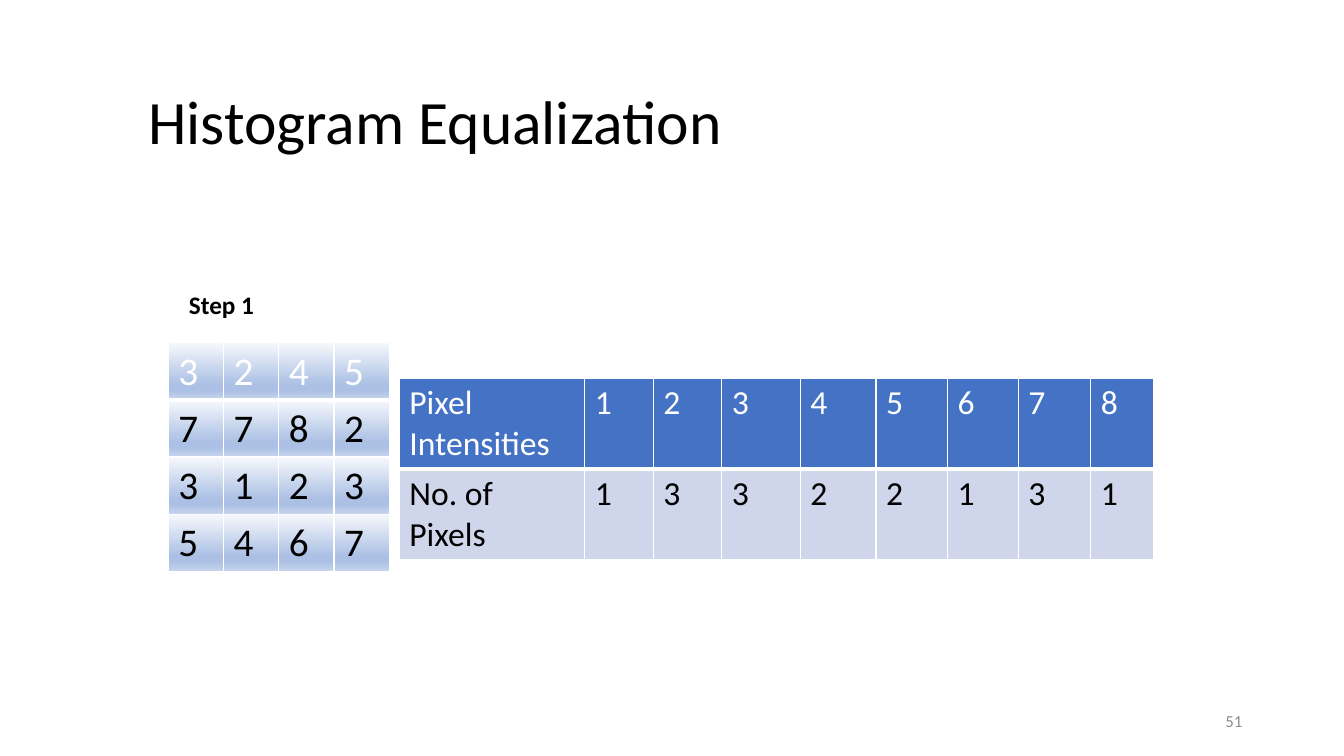
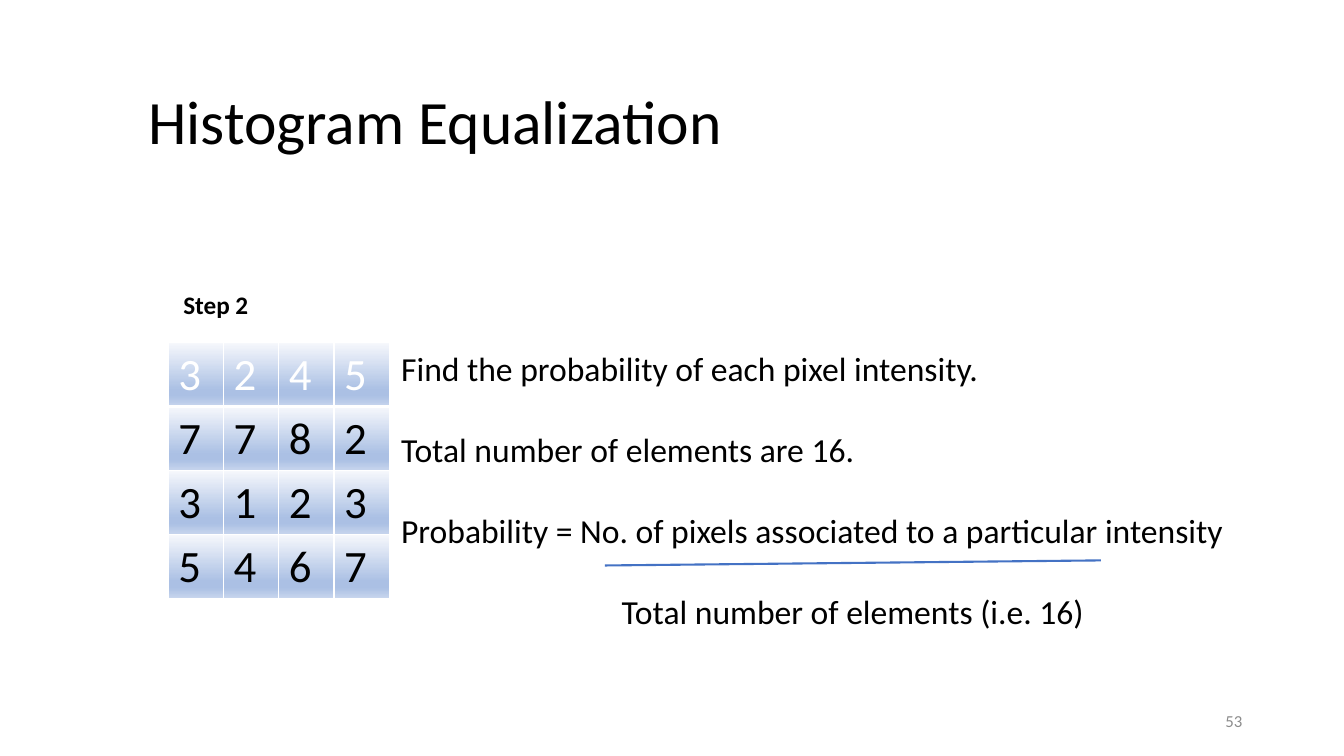
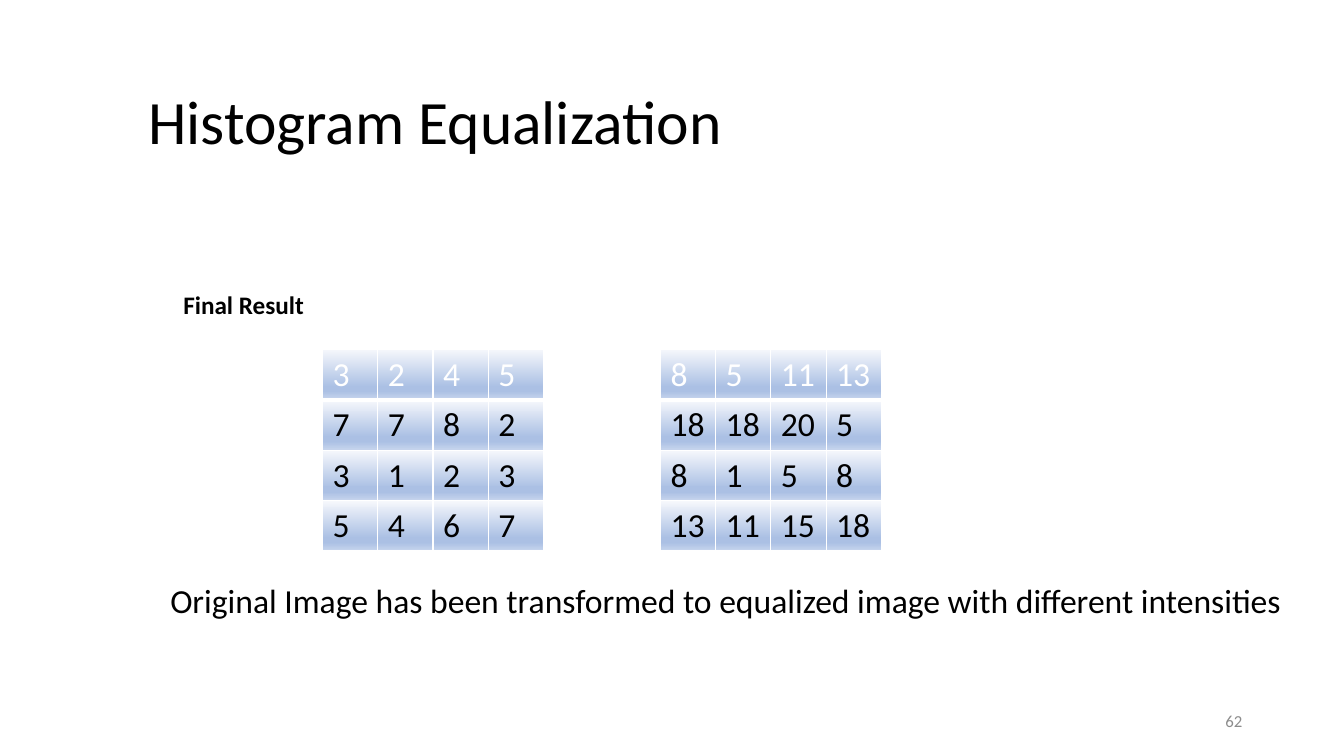
from dataclasses import dataclass

from lxml import etree
from pptx import Presentation
from pptx.dml.color import RGBColor
from pptx.enum.shapes import MSO_CONNECTOR as Connector
from pptx.enum.text import MSO_ANCHOR as Anchor, MSO_AUTO_SIZE as AutoSize, PP_ALIGN as Align
from pptx.oxml import parse_xml
from pptx.oxml.ns import nsdecls, qn
from pptx.util import Inches, Pt


@dataclass(frozen=True)
class Theme:
    font: str = "Calibri"
    ink: str = "000000"
    paper: str = "FFFFFF"
    accent: str = "4472C4"
    band: str = "CFD5EA"
    muted: str = "8C8C8C"
    gradient: tuple = ((0, "F6F8FC"), (74, "ABC0E4"), (83, "ABC0E4"), (100, "C7D5ED"))
    title_size: int = 44
    body_size: int = 24
    label_size: int = 18
    number_size: int = 12
    line_height: float = 1.2


THEME = Theme()
WIDTH, HEIGHT = Inches(13.33), Inches(7.5)
TITLE_AREA = (10.28, 5.6, 83.5, 21.73)
NUMBER_AREA = (70.67, 92.67, 22.5, 5.33)
LABEL_TOP, MATRIX_LEFT, MATRIX_TOP = 37.6, 12.53, 45.33
MATRIX_COLUMN = 4.11

IMAGE = [[3, 2, 4, 5], [7, 7, 8, 2], [3, 1, 2, 3], [5, 4, 6, 7]]
EQUALIZED = [[8, 5, 11, 13], [18, 18, 20, 5], [8, 1, 5, 8], [13, 11, 15, 18]]
HISTOGRAM = [
    ["Pixel Intensities", 1, 2, 3, 4, 5, 6, 7, 8],
    ["No. of Pixels", 1, 3, 3, 2, 2, 1, 3, 1],
]
HISTOGRAM_COLUMNS = [13.8, 5.1, 5.1, 5.85, 5.63, 5.33, 5.25, 5.4, 4.65]


# Lengths in percent of the slide
def across(share):
    return int(WIDTH * share / 100)


def down(share):
    return int(HEIGHT * share / 100)


def area(left, top, width, height):
    return across(left), down(top), across(width), down(height)


# Text
def apply(target, values):
    for name, value in values.items():
        setattr(target, name, value)


def style(paragraph, size, color=THEME.ink, bold=False):
    apply(paragraph.font, {"name": THEME.font, "size": Pt(size), "bold": bold})
    paragraph.font.color.rgb = RGBColor.from_string(color)


def add_text(slide, place, lines, size, color=THEME.ink, bold=False,
             align=Align.LEFT, anchor=Anchor.TOP, gap=0):
    frame = slide.shapes.add_textbox(*area(*place)).text_frame
    apply(frame, {"word_wrap": True, "vertical_anchor": anchor})
    for index, line in enumerate(lines):
        paragraph = frame.add_paragraph() if index else frame.paragraphs[0]
        apply(paragraph, {"text": line, "alignment": align,
                          "space_before": Pt(gap if index else 0)})
        style(paragraph, size, color, bold)
    return frame


def add_label(slide, left, text):
    add_text(slide, (left, LABEL_TOP, 15, 5.33), [text], THEME.label_size, bold=True)


def add_titled_slide(deck, number):
    slide = deck.slides.add_slide(deck.slide_layouts[5])
    title = slide.shapes.title
    apply(title, dict(zip(("left", "top", "width", "height"), area(*TITLE_AREA))))
    apply(title.text_frame, {"text": "Histogram Equalization", "word_wrap": True,
                             "auto_size": AutoSize.NONE, "vertical_anchor": Anchor.MIDDLE})
    heading = title.text_frame.paragraphs[0]
    apply(heading, {"alignment": Align.LEFT, "line_spacing": 0.9})
    style(heading, THEME.title_size)
    add_text(slide, NUMBER_AREA, [str(number)], THEME.number_size, THEME.muted,
             align=Align.RIGHT, anchor=Anchor.MIDDLE)
    return slide


# Tables
def set_borders(cell, bottom):
    props = cell._tc.get_or_add_tcPr()
    for index, (side, width) in enumerate((("L", 1), ("R", 1), ("T", 1), ("B", bottom))):
        props.insert(index, parse_xml(
            f'<a:ln{side} {nsdecls("a")} w="{Pt(width)}"><a:solidFill>'
            f'<a:srgbClr val="{THEME.paper}"/></a:solidFill></a:ln{side}>'))


def fill_solid(cell, color):
    cell.fill.solid()
    cell.fill.fore_color.rgb = RGBColor.from_string(color)


def fill_gradient(cell):
    stops = "".join(f'<a:gs pos="{pos * 1000}"><a:srgbClr val="{color}"/></a:gs>'
                    for pos, color in THEME.gradient)
    cell._tc.get_or_add_tcPr().append(parse_xml(
        f'<a:gradFill {nsdecls("a")} rotWithShape="1"><a:gsLst>{stops}</a:gsLst>'
        '<a:lin ang="5400000" scaled="0"/></a:gradFill>'))


def add_grid(slide, left, top, rows, columns, size, paint, lines=1):
    row_height = Inches(0.1) + Pt(size * THEME.line_height * lines)
    table = slide.shapes.add_table(
        len(rows), len(columns), across(left), down(top),
        across(sum(columns)), row_height * len(rows)).table
    table.horz_banding = False
    for column, share in zip(table.columns, columns):
        column.width = across(share)
    for r, values in enumerate(rows):
        table.rows[r].height = row_height
        for c, value in enumerate(values):
            cell = table.cell(r, c)
            cell.text = str(value)
            style(cell.text_frame.paragraphs[0], size, THEME.ink if r else THEME.paper)
            paint(cell, r)
            set_borders(cell, 1 if r else 3)


def add_matrix(slide, left, top, rows, size):
    add_grid(slide, left, top, rows, [MATRIX_COLUMN] * len(rows[0]), size,
             lambda cell, r: fill_gradient(cell))


def add_histogram(slide):
    add_grid(slide, 29.71, 50, HISTOGRAM, HISTOGRAM_COLUMNS, THEME.body_size,
             lambda cell, r: fill_solid(cell, THEME.band if r else THEME.accent), lines=2)


# Fraction bar
def add_rule(slide, left, top, right, bottom):
    rule = slide.shapes.add_connector(Connector.STRAIGHT, across(left), down(top),
                                      across(right), down(bottom))
    rule.line.color.rgb = RGBColor.from_string(THEME.accent)
    rule.line.width = Pt(1.5)
    etree.SubElement(rule._element.spPr, qn("a:effectLst"))


# Slides
def build_counts(deck):
    slide = add_titled_slide(deck, 51)
    add_label(slide, 13.32, "Step 1")
    add_matrix(slide, MATRIX_LEFT, MATRIX_TOP, IMAGE, 28)
    add_histogram(slide)


def build_probability(deck):
    slide = add_titled_slide(deck, 53)
    add_label(slide, 12.9, "Step 2")
    add_matrix(slide, MATRIX_LEFT, MATRIX_TOP, IMAGE, 32)
    formula = add_text(slide, (29.11, MATRIX_TOP, 63.24, 39.07), [
        "Find the probability of each pixel intensity.",
        "Total number of elements are 16.",
        "Probability = No. of pixels associated to a particular intensity",
        "Total number of elements (i.e. 16)",
    ], THEME.body_size, gap=29)
    denominator = formula.paragraphs[-1]._p.get_or_add_pPr()
    denominator.set("marL", str(across(16.4)))
    add_rule(slide, 45, 74.8, 81.92, 74.13)


def build_result(deck):
    slide = add_titled_slide(deck, 62)
    add_label(slide, 12.9, "Final Result")
    for left, rows in ((24, IMAGE), (49.14, EQUALIZED)):
        add_matrix(slide, left, 46.2, rows, THEME.body_size)
    add_text(slide, (11.93, 76, 85, 6.67),
             ["Original Image has been transformed to equalized image with different intensities"],
             THEME.body_size)


def main():
    deck = Presentation()
    apply(deck, {"slide_width": WIDTH, "slide_height": HEIGHT})
    for build in (build_counts, build_probability, build_result):
        build(deck)
    deck.save("out.pptx")


if __name__ == "__main__":
    main()
